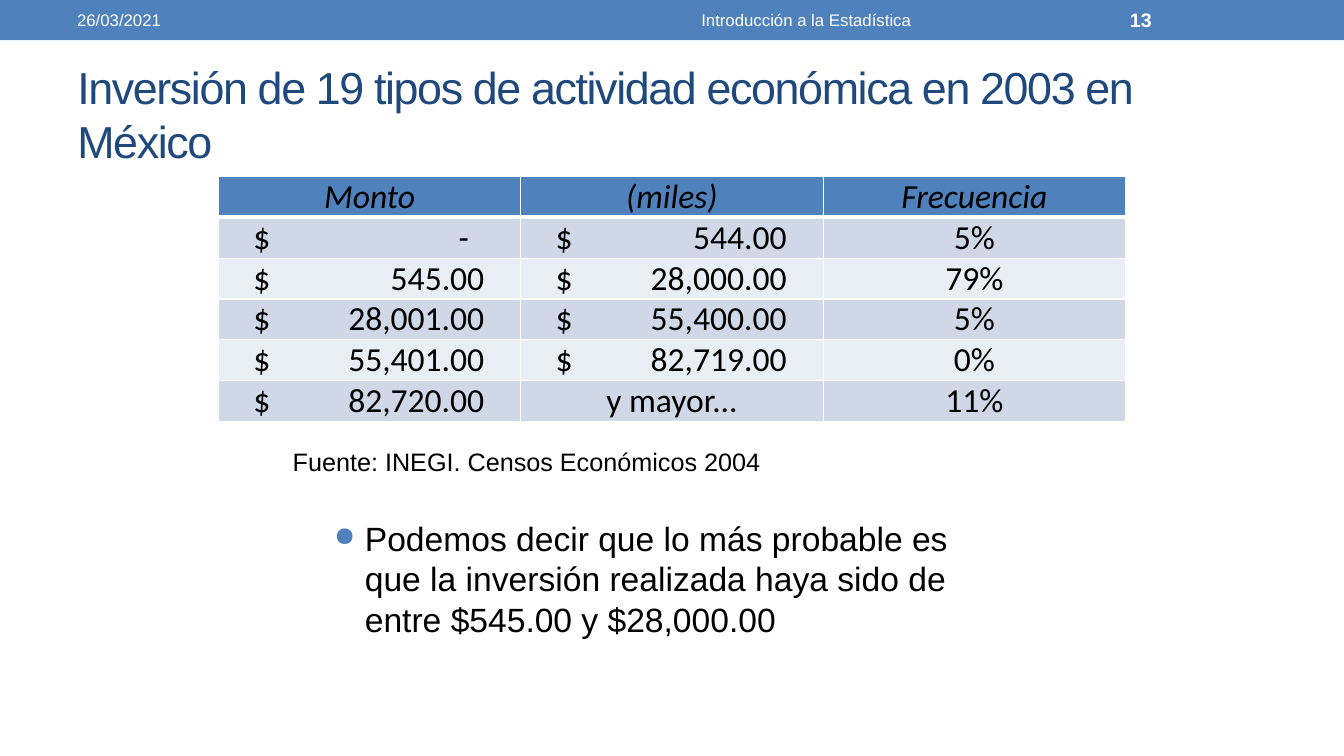
from lxml import etree
from pptx import Presentation
from pptx.dml.color import RGBColor
from pptx.enum.shapes import MSO_SHAPE
from pptx.enum.text import MSO_ANCHOR, MSO_AUTO_SIZE, PP_ALIGN
from pptx.oxml.ns import qn
from pptx.util import Pt

BLUE = RGBColor(0x4F, 0x81, 0xBD)
NAVY = RGBColor(0x1F, 0x49, 0x7D)
BAND_DARK = RGBColor(0xD0, 0xD8, 0xE8)
BAND_LIGHT = RGBColor(0xE9, 0xED, 0xF4)
BLACK = RGBColor(0, 0, 0)
WHITE = RGBColor(0xFF, 0xFF, 0xFF)


def add_run(paragraph, text, size, color, font="Arial"):
    run = paragraph.add_run()
    run.text = text
    run.font.name = font
    run.font.size = Pt(size)
    run.font.color.rgb = color
    return run


def add_text(left, top, width, height, text, size, color, anchor=MSO_ANCHOR.TOP):
    box = slide.shapes.add_textbox(Pt(left), Pt(top), Pt(width), Pt(height))
    box.text_frame.word_wrap = True
    box.text_frame.vertical_anchor = anchor
    paragraph = box.text_frame.paragraphs[0]
    add_run(paragraph, text, size, color)
    return paragraph


presentation = Presentation()
presentation.slide_width = Pt(960)
presentation.slide_height = Pt(540)
slide = presentation.slides.add_slide(presentation.slide_layouts[5])

# Header band with date, course and slide number
band = slide.shapes.add_shape(MSO_SHAPE.RECTANGLE, 0, 0, Pt(960), Pt(28.8))
band.shadow.inherit = False
band.fill.solid()
band.fill.fore_color.rgb = BLUE
band.line.fill.background()
for left, width, text, size, align in (
    (48, 304, "26/03/2021", 12, PP_ALIGN.LEFT),
    (360, 432, "Introducción a la Estadística", 12, PP_ALIGN.CENTER),
    (800, 112, "13", 14, PP_ALIGN.LEFT),
):
    paragraph = add_text(left, 1.4, width, 26, text, size, WHITE, MSO_ANCHOR.MIDDLE)
    paragraph.alignment = align
    paragraph.runs[0].font.bold = text == "13"

# Title
title = slide.shapes.title
title.left, title.top, title.width, title.height = Pt(48), Pt(42), Pt(864), Pt(78)
title.text_frame.auto_size = MSO_AUTO_SIZE.NONE
title.text_frame.vertical_anchor = MSO_ANCHOR.MIDDLE
paragraph = title.text_frame.paragraphs[0]
paragraph.alignment = PP_ALIGN.LEFT
run = add_run(paragraph, "Inversión de 19 tipos de actividad económica en 2003 en México", 32, NAVY)
run.font._element.set("spc", "-100")

# Frequency table
ROWS = (
    ("Monto", "(miles)", "Frecuencia"),
    ("$\t-", "$\t544.00", "5%"),
    ("$\t545.00", "$\t28,000.00", "79%"),
    ("$\t28,001.00", "$\t55,400.00", "5%"),
    ("$\t55,401.00", "$\t82,719.00", "0%"),
    ("$\t82,720.00", "y mayor...", "11%"),
)
table = slide.shapes.add_table(6, 3, Pt(156), Pt(126), Pt(648), Pt(175.2)).table
for row_index, texts in enumerate(ROWS):
    table.rows[row_index].height = Pt(29.2)
    is_header = row_index == 0
    for column_index, text in enumerate(texts):
        cell = table.cell(row_index, column_index)
        cell.margin_left = cell.margin_right = cell.margin_top = cell.margin_bottom = 0
        cell.vertical_anchor = MSO_ANCHOR.BOTTOM
        paragraph = cell.text_frame.paragraphs[0]
        run = add_run(paragraph, text, 24, BLACK, "Calibri")
        run.font.italic = is_header
        run.font.bold = False
        if "\t" in text:
            # Currency sign on the left, amount against a right tab stop
            cell.margin_left = Pt(25)
            paragraph.alignment = PP_ALIGN.LEFT
            tabs = etree.SubElement(paragraph._p.get_or_add_pPr(), qn("a:tabLst"))
            stop = 154 if text.endswith("-") else 165
            etree.SubElement(tabs, qn("a:tab"), pos=str(Pt(stop)), algn="r")
        else:
            paragraph.alignment = PP_ALIGN.CENTER
        # White borders, thicker under the header
        properties = cell._tc.get_or_add_tcPr()
        for side in ("L", "R", "T", "B"):
            thick = (is_header and side == "B") or (row_index == 1 and side == "T")
            border = etree.SubElement(properties, qn(f"a:ln{side}"), w=str(Pt(3 if thick else 1)))
            fill = etree.SubElement(border, qn("a:solidFill"))
            etree.SubElement(fill, qn("a:srgbClr"), val=str(WHITE))
        cell.fill.solid()
        cell.fill.fore_color.rgb = BLUE if is_header else (BAND_LIGHT, BAND_DARK)[row_index % 2]

# Source and conclusion
add_text(202, 315, 360, 29, "Fuente: INEGI. Censos Económicos 2004", 18, BLACK)
conclusion = add_text(
    224.8, 366.5, 487.4, 94.5,
    "Podemos decir que lo más probable es que la inversión realizada haya sido de "
    "entre $545.00 y $28,000.00", 24, BLACK)
conclusion.space_before = Pt(6)
properties = conclusion._p.get_or_add_pPr()
properties.set("marL", str(Pt(28.8)))
properties.set("indent", str(Pt(-22)))
bullet_color = etree.SubElement(properties, qn("a:buClr"))
etree.SubElement(bullet_color, qn("a:srgbClr"), val=str(BLUE))
etree.SubElement(properties, qn("a:buSzPct"), val="80000")
etree.SubElement(properties, qn("a:buChar"), char="●")

presentation.save("out.pptx")
